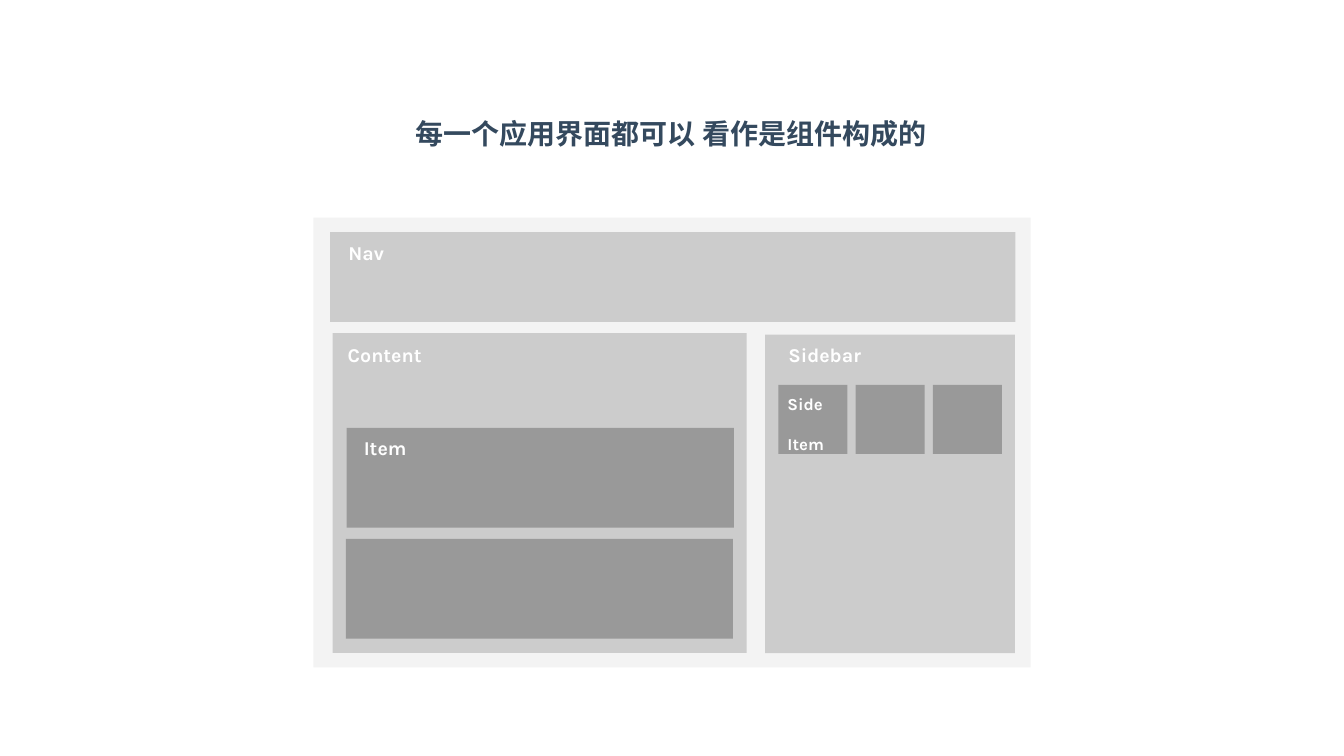
from dataclasses import dataclass

import pptx
import pptx.dml.color
import pptx.enum.shapes
import pptx.enum.text
import pptx.util

Pt = pptx.util.Pt


@dataclass(frozen=True)
class Theme:
    title_color: str = "34495E"
    label_color: str = "FFFFFF"
    frame: str = "F3F3F3"
    region: str = "CCCCCC"
    item: str = "999999"
    title_font: str = "Arial"
    label_font: str = "Karla"
    title_size: float = 20
    label_size: float = 14
    small_size: float = 12


THEME = Theme()
TITLE = "每一个应用界面都可以 看作是组件构成的"
TITLE_BOX = (296.6, 82.8, 367.2, 23.8)

# Each block: left, top, width, height, fill
FRAME = (223.9, 155.5, 512.3, 321.2, THEME.frame)
NAV = (235.8, 165.9, 489.4, 64, THEME.region)
CONTENT = (237.6, 237.9, 295.7, 228.5, THEME.region)
SIDEBAR = (546.5, 239, 178.5, 227.5, THEME.region)
ITEM = (247.7, 305.7, 276.5, 71.2, THEME.item)
SECOND_ITEM = (247, 385, 276.5, 71.2, THEME.item)
SIDE_ITEM_LABELS = [["Side", "Item"], [], []]
SIDE_ITEM_LEFT, SIDE_ITEM_TOP, SIDE_ITEM_SIZE, SIDE_ITEM_PITCH = 556, 275, 49.3, 55.2
SIDE_LINE = 14.3

# Block, label, left inset, top inset
LABELLED_BLOCKS = [
    (FRAME, None, 0, 0),
    (NAV, "Nav", 13, 6.5),
    (CONTENT, "Content", 10.8, 7.2),
    (SIDEBAR, "Sidebar", 16.6, 6.1),
    (ITEM, "Item", 12.2, 5.8),
    (SECOND_ITEM, None, 0, 0),
]


def rgb(color):
    return pptx.dml.color.RGBColor.from_string(color)


def set_insets(frame, left, top):
    frame.margin_left, frame.margin_top = Pt(left), Pt(top)
    frame.margin_right = frame.margin_bottom = 0


def style(paragraph, font, size, color):
    paragraph.alignment = pptx.enum.text.PP_ALIGN.LEFT
    paragraph.font.name = font
    paragraph.font.size = Pt(size)
    paragraph.font.bold = True
    paragraph.font.color.rgb = rgb(color)


def add_block(slide, block, lines, left_inset, top_inset, size):
    """Add a filled rectangle with one paragraph per line; return the paragraphs."""
    *box, fill = block
    shape = slide.shapes.add_shape(
        pptx.enum.shapes.MSO_SHAPE.RECTANGLE, *map(Pt, box))
    shape.shadow.inherit = False
    shape.fill.solid()
    shape.fill.fore_color.rgb = rgb(fill)
    shape.line.fill.background()
    if not lines:
        return []
    frame = shape.text_frame
    frame.vertical_anchor = pptx.enum.text.MSO_ANCHOR.TOP
    set_insets(frame, left_inset, top_inset)
    frame.text = "\n".join(lines)
    for paragraph in frame.paragraphs:
        style(paragraph, THEME.label_font, size, THEME.label_color)
    return frame.paragraphs


def add_title(slide):
    title = slide.shapes.title
    title.left, title.top, title.width, title.height = map(Pt, TITLE_BOX)
    frame = title.text_frame
    frame.text = TITLE
    frame.word_wrap = False
    frame.vertical_anchor = pptx.enum.text.MSO_ANCHOR.MIDDLE
    set_insets(frame, 0, 0.7)
    style(frame.paragraphs[0], THEME.title_font, THEME.title_size, THEME.title_color)


def add_side_items(slide):
    for index, lines in enumerate(SIDE_ITEM_LABELS):
        block = (SIDE_ITEM_LEFT + index * SIDE_ITEM_PITCH, SIDE_ITEM_TOP,
                 SIDE_ITEM_SIZE, SIDE_ITEM_SIZE, THEME.item)
        paragraphs = add_block(slide, block, lines, 6.5, 6.5, THEME.small_size)
        for position, paragraph in enumerate(paragraphs):
            paragraph.line_spacing = Pt(SIDE_LINE)
            paragraph.space_before = Pt(SIDE_LINE if position else 0)


def main():
    presentation = pptx.Presentation()
    presentation.slide_width, presentation.slide_height = Pt(960), Pt(540)
    slide = presentation.slides.add_slide(presentation.slide_layouts[5])
    add_title(slide)
    for block, label, left_inset, top_inset in LABELLED_BLOCKS:
        add_block(slide, block, [label] if label else [],
                  left_inset, top_inset, THEME.label_size)
    add_side_items(slide)
    presentation.save("out.pptx")


if __name__ == "__main__":
    main()
